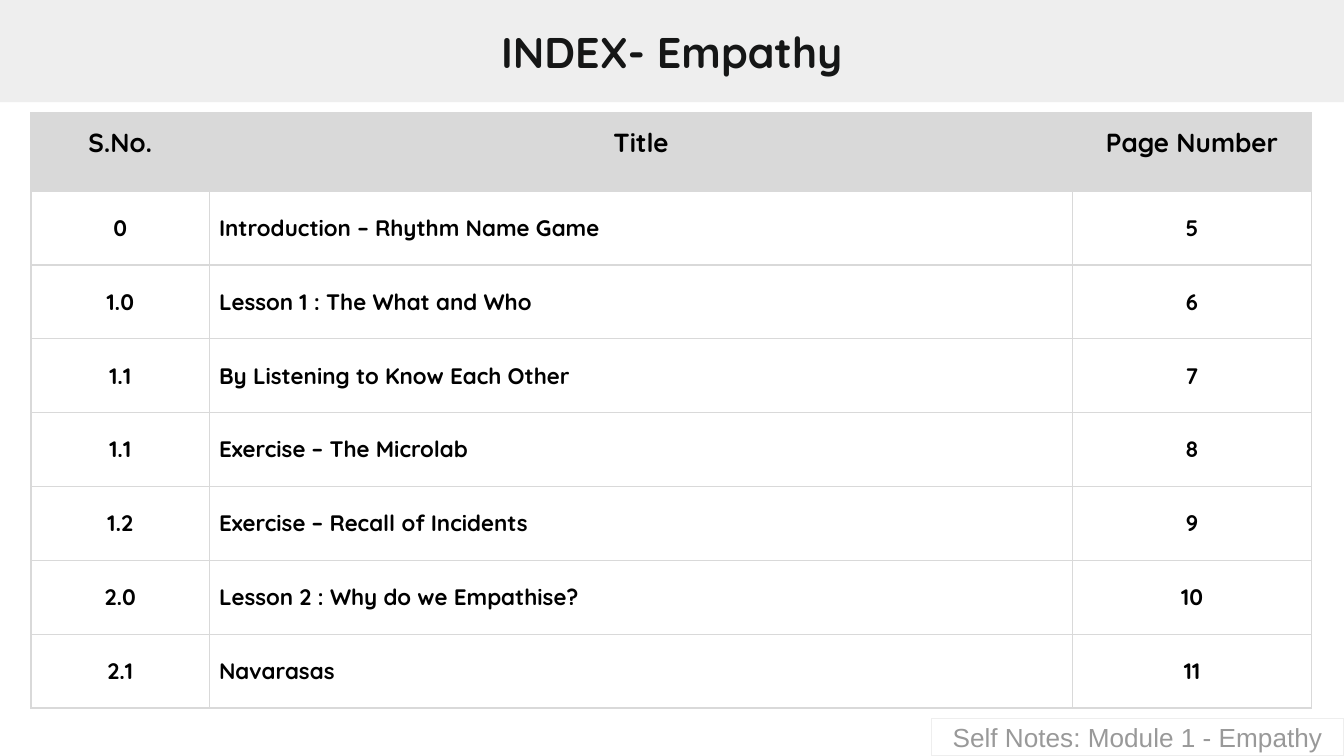
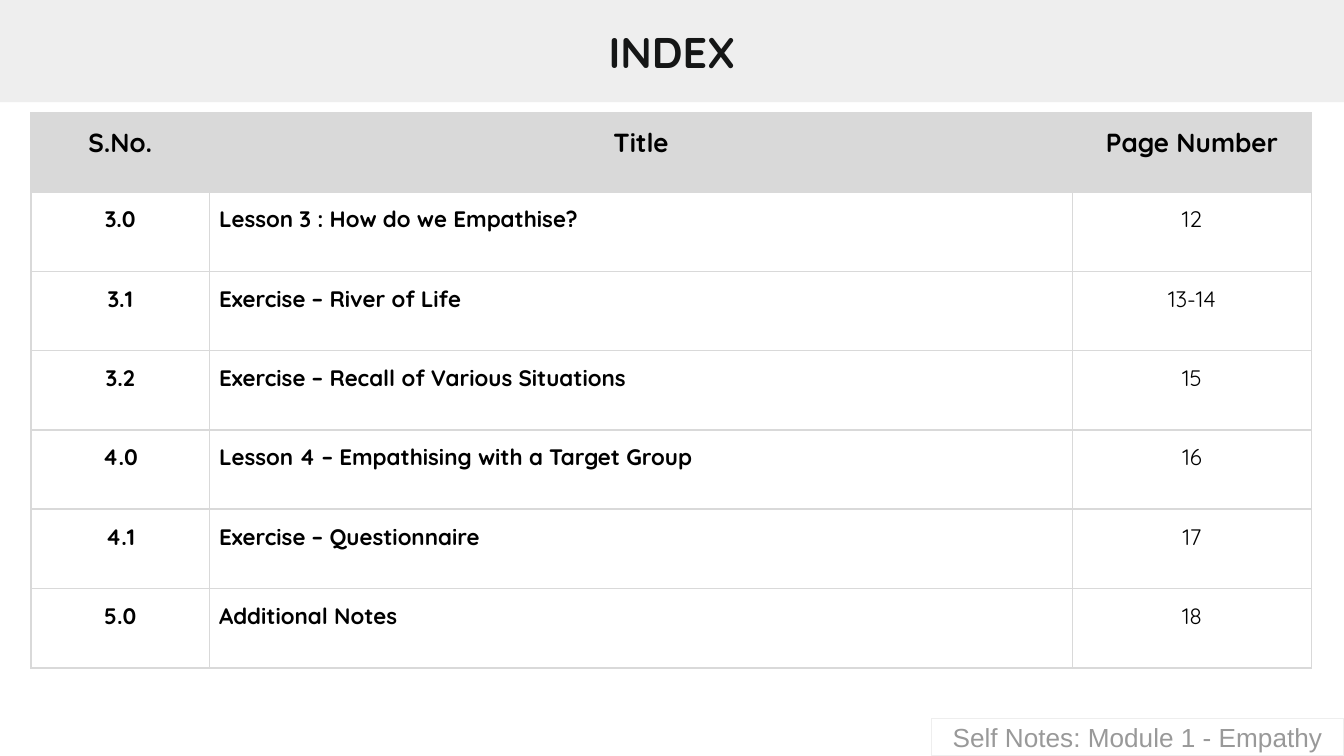
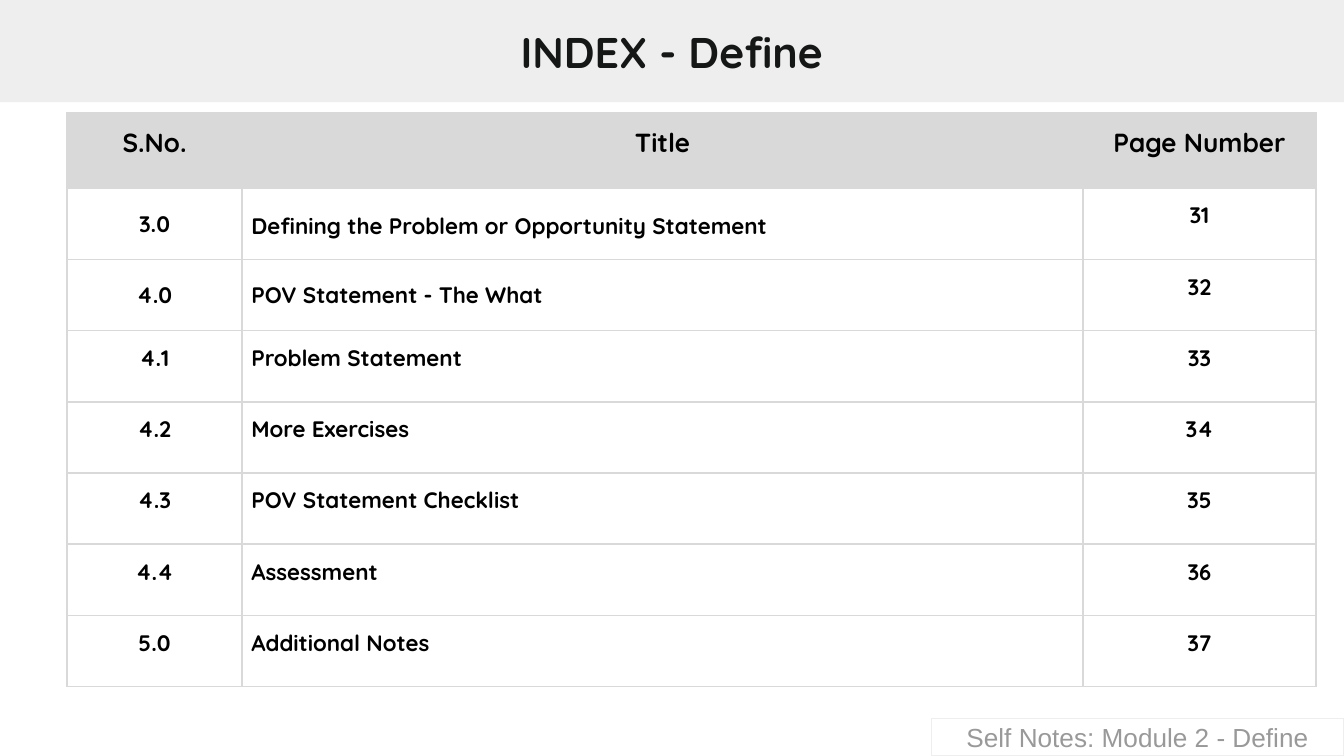
from lxml.etree import SubElement
from pptx import Presentation
from pptx.dml.color import RGBColor
from pptx.enum.shapes import MSO_SHAPE as Shape
from pptx.enum.text import MSO_ANCHOR as Anchor, MSO_AUTO_SIZE as AutoSize, PP_ALIGN as Align
from pptx.oxml import parse_xml
from pptx.oxml.ns import nsdecls, qn
from pptx.util import Inches, Pt

BAND, RULE, TITLE_INK, INK, FOOTER_INK = "EEEEEE", "D9D9D9", "151616", "000000", "999999"
FONT, FOOTER_FONT = "Quicksand", "Arial"
HEADINGS = ("S.No.", "Title", "Page Number")
SLIDE_WIDTH = Inches(10)
SLIDE_HEIGHT = SLIDE_WIDTH * 9 // 16
TABLE_TOP = 0.84

INDEXES = [
    {
        "title": "INDEX- Empathy", "footer": "Self Notes: Module 1 - Empathy",
        "left": 0.23, "columns": (1.33, 6.42, 1.78), "heights": (0.58, 0.55),
        "middle_rows": 7, "middle_columns": 3, "bold_pages": True, "spacing": {},
        "lessons": [
            ("0", "Introduction – Rhythm Name Game", "5"),
            ("1.0", "Lesson 1 : The What and Who", "6"),
            ("1.1", "By Listening to Know Each Other", "7"),
            ("1.1", "Exercise – The Microlab", "8"),
            ("1.2", "Exercise – Recall of Incidents", "9"),
            ("2.0", "Lesson 2 : Why do we Empathise?", "10"),
            ("2.1", "Navarasas", "11"),
        ],
    },
    {
        "title": "INDEX", "footer": "Self Notes: Module 1 - Empathy",
        "left": 0.23, "columns": (1.33, 6.42, 1.78), "heights": (0.59, 0.59),
        "middle_rows": 0, "middle_columns": 0, "bold_pages": False, "spacing": {},
        "lessons": [
            ("3.0", "Lesson 3 : How do we Empathise?", "12"),
            ("3.1", "Exercise – River of Life", "13-14"),
            ("3.2", "Exercise – Recall of Various Situations", "15"),
            ("4.0", "Lesson 4 – Empathising with a Target Group", "16"),
            ("4.1", "Exercise – Questionnaire", "17"),
            ("5.0", "Additional Notes", "18"),
        ],
    },
    {
        "title": "INDEX - Define", "footer": "Self Notes: Module 2 - Define",
        "left": 0.5, "columns": (1.3, 6.26, 1.73), "heights": (0.56, 0.53),
        "middle_rows": 2, "middle_columns": 2, "bold_pages": True, "spacing": {(1, 1): 1.15},
        "lessons": [
            ("3.0", "Defining the Problem or Opportunity Statement", "31"),
            ("4.0", "POV Statement - The What", "32"),
            ("4.1", "Problem Statement", "33"),
            ("4.2", "More Exercises", "34"),
            ("4.3", "POV Statement Checklist", "35"),
            ("4.4", "Assessment", "36"),
            ("5.0", "Additional Notes", "37"),
        ],
    },
]


def color(value):
    """Turn a hex string into a colour."""
    return RGBColor.from_string(value)


def write(frame, text, size, ink, bold=False, font=FONT, align=Align.CENTER):
    """Put one formatted paragraph in a text frame and return it."""
    frame.text = text
    paragraph = frame.paragraphs[0]
    paragraph.alignment = align
    paragraph.font.name, paragraph.font.size, paragraph.font.bold = font, Pt(size), bold
    paragraph.font.color.rgb = color(ink)
    return paragraph


def center_frame(frame):
    """Give a text frame even margins and middle anchoring."""
    frame.margin_left = frame.margin_right = frame.margin_top = frame.margin_bottom = Inches(0.1)
    frame.vertical_anchor = Anchor.MIDDLE
    frame.word_wrap = True
    frame.auto_size = AutoSize.NONE


def add_title(slide, text):
    """Turn the title placeholder into the grey band."""
    title = slide.shapes.title
    title.left, title.top, title.width, title.height = 0, 0, SLIDE_WIDTH, Inches(0.76)
    title.fill.solid()
    title.fill.fore_color.rgb = color(BAND)
    center_frame(title.text_frame)
    write(title.text_frame, text, 23, TITLE_INK, bold=True)


def add_footer(slide, text):
    """Add the outlined module name in the bottom right corner."""
    width, height = Inches(3.07), Inches(0.28)
    footer = slide.shapes.add_shape(
        Shape.RECTANGLE, SLIDE_WIDTH - width, SLIDE_HEIGHT - height, width, height)
    footer.shadow.inherit = False
    footer.fill.background()
    footer.line.color.rgb = color(BAND)
    footer.line.width = Pt(0.75)
    center_frame(footer.text_frame)
    write(footer.text_frame, text, 14, FOOTER_INK, font=FOOTER_FONT)


def add_borders(cell):
    """Draw thin grey lines on the four sides of a cell."""
    properties = cell._tc.get_or_add_tcPr()
    for position, side in enumerate(("lnL", "lnR", "lnT", "lnB")):
        line = parse_xml(f'<a:{side} {nsdecls("a")} w="{Pt(1)}"/>')
        fill = SubElement(line, qn("a:solidFill"))
        SubElement(fill, qn("a:srgbClr"), val=RULE)
        properties.insert(position, line)


def add_index(slide, index):
    """Add the table of lessons and page numbers."""
    rows = [HEADINGS, *index["lessons"]]
    header_height, lesson_height = index["heights"]
    heights = [header_height] + [lesson_height] * len(index["lessons"])
    table = slide.shapes.add_table(
        len(rows), len(HEADINGS), Inches(index["left"]), Inches(TABLE_TOP),
        Inches(sum(index["columns"])), Inches(sum(heights))).table
    table.first_row = table.horz_banding = False
    for column, width in zip(table.columns, index["columns"]):
        column.width = Inches(width)
    for r, (texts, height) in enumerate(zip(rows, heights)):
        table.rows[r].height = Inches(height)
        header = r == 0
        for c, text in enumerate(texts):
            cell = table.cell(r, c)
            cell.margin_left = cell.margin_right = Inches(0.07)
            cell.margin_top = cell.margin_bottom = Inches(0.1)
            middle = 0 < r <= index["middle_rows"] and c < index["middle_columns"]
            cell.vertical_anchor = Anchor.MIDDLE if middle else Anchor.TOP
            if header:
                cell.fill.solid()
                cell.fill.fore_color.rgb = color(RULE)
            else:
                cell.fill.background()
            add_borders(cell)
            paragraph = write(
                cell.text_frame, text, 14 if header else 12, INK,
                bold=header or c < 2 or index["bold_pages"],
                align=Align.LEFT if c == 1 and not header else Align.CENTER)
            if (r, c) in index["spacing"]:
                paragraph.line_spacing = index["spacing"][r, c]


def main():
    """Build the index slides."""
    presentation = Presentation()
    presentation.slide_width, presentation.slide_height = SLIDE_WIDTH, SLIDE_HEIGHT
    for index in INDEXES:
        slide = presentation.slides.add_slide(presentation.slide_layouts[5])
        add_title(slide, index["title"])
        add_index(slide, index)
        add_footer(slide, index["footer"])
    presentation.save("out.pptx")


if __name__ == "__main__":
    main()
